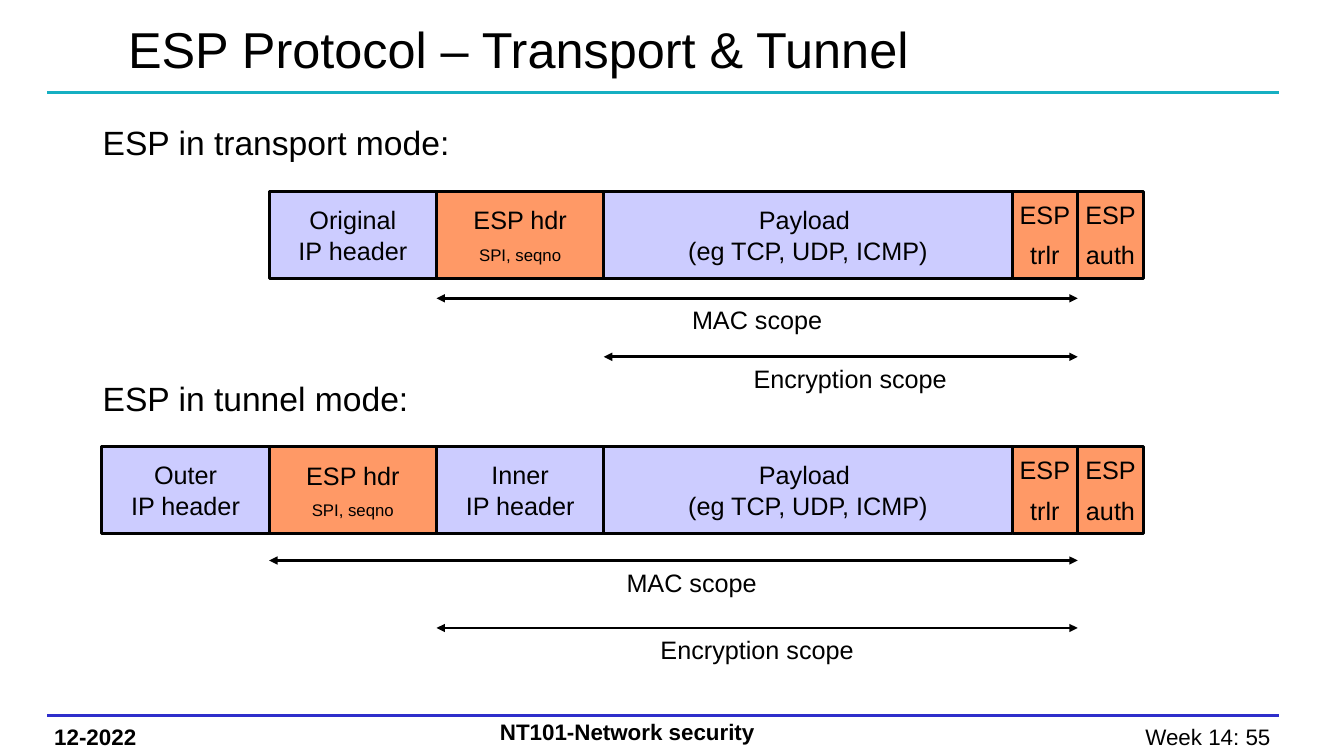
from dataclasses import dataclass
from itertools import accumulate

from lxml import etree
from pptx import Presentation
from pptx import util as u
from pptx.dml.color import RGBColor
from pptx.enum import shapes, text
from pptx.oxml.ns import qn


@dataclass(frozen=True)
class Theme:
    font: str = "Arial"
    ink: str = "000000"
    header: str = "CCCCFF"
    esp: str = "FF9966"
    top_rule: str = "16AFC2"
    foot_rule: str = "2E2ECB"
    title: int = 36
    heading: int = 24
    body: int = 18
    foot: int = 16
    small: int = 12
    border: float = 2
    rule: float = 2.25
    gap: int = 7


LEFT, CENTER, RIGHT = text.PP_ALIGN.LEFT, text.PP_ALIGN.CENTER, text.PP_ALIGN.RIGHT
TOP, MIDDLE = text.MSO_ANCHOR.TOP, text.MSO_ANCHOR.MIDDLE


def put(obj, **values):
    for name, value in values.items():
        setattr(obj, name, value)


class Deck:
    def __init__(self, theme):
        self.theme = theme
        self.prs = Presentation()
        put(self.prs, slide_width=u.Inches(13.33), slide_height=u.Inches(7.5))
        self.s = self.prs.slides.add_slide(self.prs.slide_layouts[5])

    def x(self, percent):
        return round(self.prs.slide_width * percent / 100)

    def y(self, percent):
        return round(self.prs.slide_height * percent / 100)

    def box(self, left, top, width, height):
        return self.x(left), self.y(top), self.x(width), self.y(height)

    def fill_text(self, sp, lines, sizes, align=LEFT, anchor=TOP, wrap=True, gap=0, bold=False):
        tf = sp.text_frame
        put(tf, auto_size=text.MSO_AUTO_SIZE.NONE, word_wrap=wrap, vertical_anchor=anchor)
        for i, (line, size) in enumerate(zip(lines, sizes)):
            p = tf.add_paragraph() if i else tf.paragraphs[0]
            put(p, alignment=align, space_before=u.Pt(gap if i else 0))
            r = p.add_run()
            r.text = line
            put(r.font, name=self.theme.font, size=u.Pt(size), bold=bold)
            r.font.color.rgb = RGBColor.from_string(self.theme.ink)

    def title(self, words, *box):
        sp = self.s.shapes.title
        put(sp, **dict(zip(("left", "top", "width", "height"), self.box(*box))))
        self.fill_text(sp, [words], [self.theme.title], anchor=MIDDLE)

    def label(self, words, size, *box, **style):
        sp = self.s.shapes.add_textbox(*self.box(*box))
        self.fill_text(sp, [words], [size], **style)

    def field(self, lines, fill, sizes, gap, *box):
        sp = self.s.shapes.add_shape(shapes.MSO_SHAPE.RECTANGLE, *self.box(*box))
        sp.shadow.inherit = False
        sp.fill.solid()
        sp.fill.fore_color.rgb = RGBColor.from_string(fill)
        sp.line.color.rgb = RGBColor.from_string(self.theme.ink)
        sp.line.width = u.Pt(self.theme.border)
        self.fill_text(sp, lines, sizes, CENTER, MIDDLE, False, gap)

    def rule(self, start, end, top, color, width, arrows=False):
        y = self.y(top)
        line = self.s.shapes.add_connector(
            shapes.MSO_CONNECTOR.STRAIGHT, self.x(start), y, self.x(end), y)
        line.line.color.rgb = RGBColor.from_string(color)
        line.line.width = u.Pt(width)
        sp_pr = line._element.spPr
        if arrows:
            for end_tag in ("a:headEnd", "a:tailEnd"):
                etree.SubElement(sp_pr.find(qn("a:ln")), qn(end_tag), type="triangle")
        etree.SubElement(sp_pr, qn("a:effectLst"))

    def packet(self, heading, top, first, fields, scopes):
        t = self.theme
        widths = [12.45] * 3 + [30.38] + [4.88] * 2
        edges = list(accumulate(widths, initial=7.58))
        self.label(heading, t.heading, 6.9, top - 9.8, 35.93, 7.73)
        for i, (lines, fill, sizes, gap) in enumerate(fields, first):
            self.field(lines, fill, sizes, gap, edges[i], top, widths[i], 11.47)
        for words, drop, start, shift in scopes:
            left, right = edges[start], edges[5]
            self.rule(left, right, top + drop, t.ink, t.border, arrows=True)
            middle = (left + right) / 2 + shift
            self.label(words, t.body, middle - 21.08, top + drop + 0.2, 42.16, 6.13,
                       align=CENTER)


def main():
    t = Theme()
    deck = Deck(t)
    deck.rule(3.53, 95.2, 12.27, t.top_rule, t.rule)
    deck.rule(3.53, 95.2, 94.67, t.foot_rule, t.rule)
    deck.label("Week 14: 55 ", t.foot, 73.67, 94.93, 22.06, 4.93, align=RIGHT)
    deck.label("12-2022", t.foot, 3.3, 94.93, 13.35, 4.93, bold=True)
    deck.label("NT101-Network security", t.foot, 36.46, 94.4, 50.41, 4.93, bold=True)
    deck.title("ESP Protocol – Transport & Tunnel", 8.78, 0, 60.84, 12.67)

    plain = [t.body] * 2
    original, outer, inner = [
        ([name, "IP header"], t.header, plain, 0) for name in ("Original", "Outer", "Inner")]
    esp_header = (["ESP hdr", "SPI, seqno"], t.esp, [t.body, t.small], t.gap)
    payload = (["Payload ", "(eg TCP, UDP, ICMP)"], t.header, plain, 0)
    trailer, auth = [(["ESP", name], t.esp, plain, t.gap) for name in ("trlr", "auth")]

    deck.packet("ESP in transport mode:", 25.33, 1,
                [original, esp_header, payload, trailer, auth],
                [("MAC scope", 14.13, 2, 0), ("Encryption scope", 21.87, 3, 0.7)])
    deck.packet("ESP in tunnel mode:", 59.07, 0,
                [outer, esp_header, inner, payload, trailer, auth],
                [("MAC scope", 15.07, 1, 1.35), ("Encryption scope", 24, 2, 0)])
    deck.prs.save("out.pptx")


if __name__ == "__main__":
    main()
